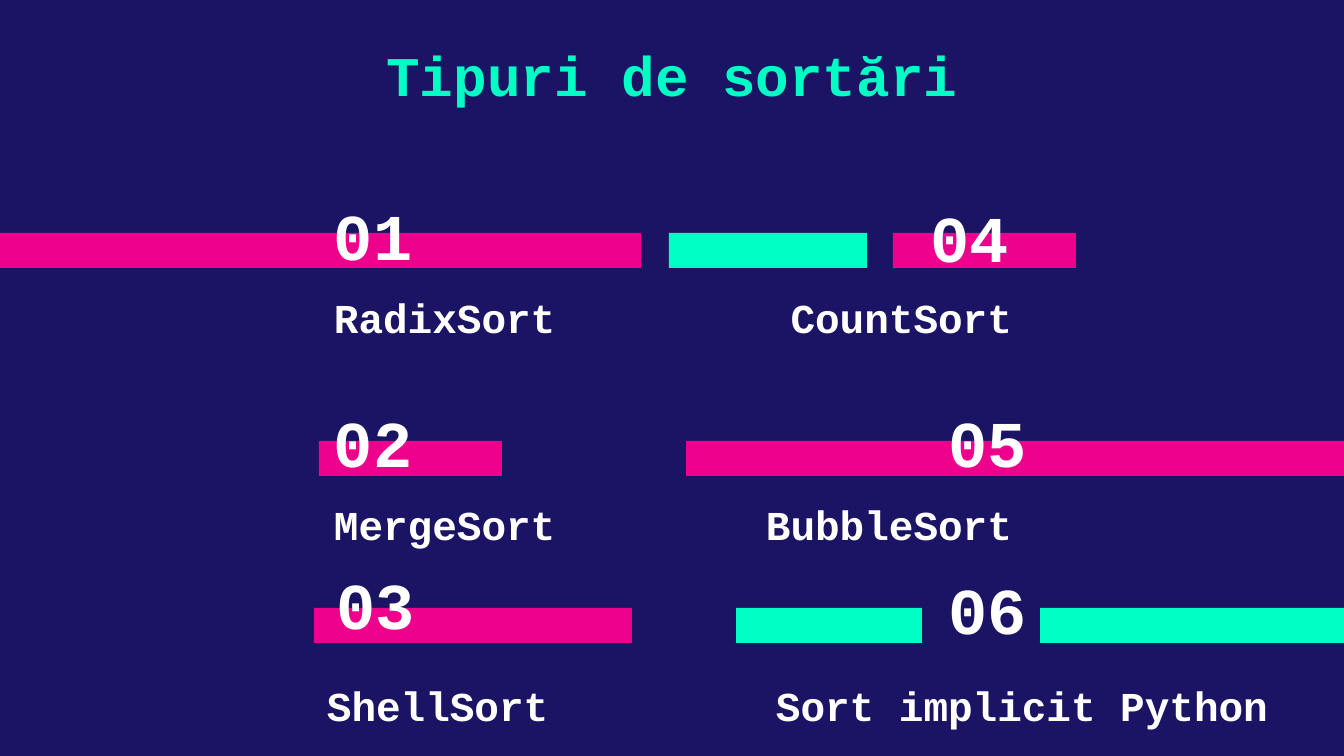
from dataclasses import dataclass

from pptx import Presentation
from pptx.dml.color import RGBColor
from pptx.enum.shapes import MSO_SHAPE
from pptx.enum.text import MSO_ANCHOR, PP_ALIGN
from pptx.util import Emu, Pt


@dataclass
class Theme:
    navy: str = "1B1464"
    pink: str = "EC008C"
    mint: str = "00FFC5"
    white: str = "FFFFFF"
    font: str = "Courier New"
    title: int = 30
    number: int = 35
    name: int = 22


theme = Theme()
PX = 914400 / 134.4


def place(x, y, w, h):
    return [Emu(round(v * PX)) for v in (x, y, w, h)]


def write(sp, text, size, color=theme.white, align=PP_ALIGN.LEFT,
          anchor=MSO_ANCHOR.TOP, inset=0, spacing=1.15):
    tf = sp.text_frame
    tf.word_wrap = True
    tf.vertical_anchor = anchor
    tf.margin_left = tf.margin_right = Emu(round(13 * PX))
    tf.margin_top = tf.margin_bottom = Emu(round(inset * PX))
    p = tf.paragraphs[0]
    p.alignment = align
    p.line_spacing = spacing
    r = p.add_run()
    r.text = text
    r.font.name = theme.font
    r.font.size = Pt(size)
    r.font.bold = True
    r.font.color.rgb = RGBColor.from_string(color)


# Slide and background
prs = Presentation()
prs.slide_width, prs.slide_height = place(0, 0, 1344, 756)[2:]
s = prs.slides.add_slide(prs.slide_layouts[5])
s.background.fill.solid()
s.background.fill.fore_color.rgb = RGBColor.from_string(theme.navy)

# Bars, row by row: top, then left, width and colour of each
bar_rows = [
    (233, [(0, 641, theme.pink), (669, 198, theme.mint), (893, 183, theme.pink)]),
    (441, [(319, 183, theme.pink), (686, 658, theme.pink)]),
    (608, [(314, 318, theme.pink), (736, 186, theme.mint), (1040, 304, theme.mint)]),
]
for top, bars in bar_rows:
    for left, width, color in bars:
        sp = s.shapes.add_shape(MSO_SHAPE.RECTANGLE, *place(left, top, width, 35))
        sp.shadow.inherit = False
        sp.fill.solid()
        sp.fill.fore_color.rgb = RGBColor.from_string(color)
        sp.line.fill.background()

# Title
title = s.shapes.title
title.left, title.top, title.width, title.height = place(188, 17, 968, 98)
write(title, "Tipuri de sortări", theme.title, theme.mint, PP_ALIGN.CENTER, inset=13)

# Sorts: number with its place, name with its place and width
L, R = PP_ALIGN.LEFT, PP_ALIGN.RIGHT
sorts = [
    ("01", 321, 239, L, "RadixSort", 321, 285, 318, L),
    ("02", 321, 446, L, "MergeSort", 321, 492, 318, L),
    ("03", 110, 608, R, "ShellSort", 314, 673, 318, L),
    ("04", 704, 241, R, "CountSort", 707, 285, 318, R),
    ("05", 722, 446, R, "BubbleSort", 707, 492, 318, R),
    ("06", 722, 613, R, "Sort implicit Python", 763, 673, 581, L),
]
for number, nx, ny, n_align, name, x, y, w, align in sorts:
    sp = s.shapes.add_textbox(*place(nx, ny, 318, 35))
    write(sp, number, theme.number, align=n_align, anchor=MSO_ANCHOR.BOTTOM, spacing=1)
    sp = s.shapes.add_textbox(*place(x, y, w, 63))
    write(sp, name, theme.name, align=align)

prs.save("out.pptx")
